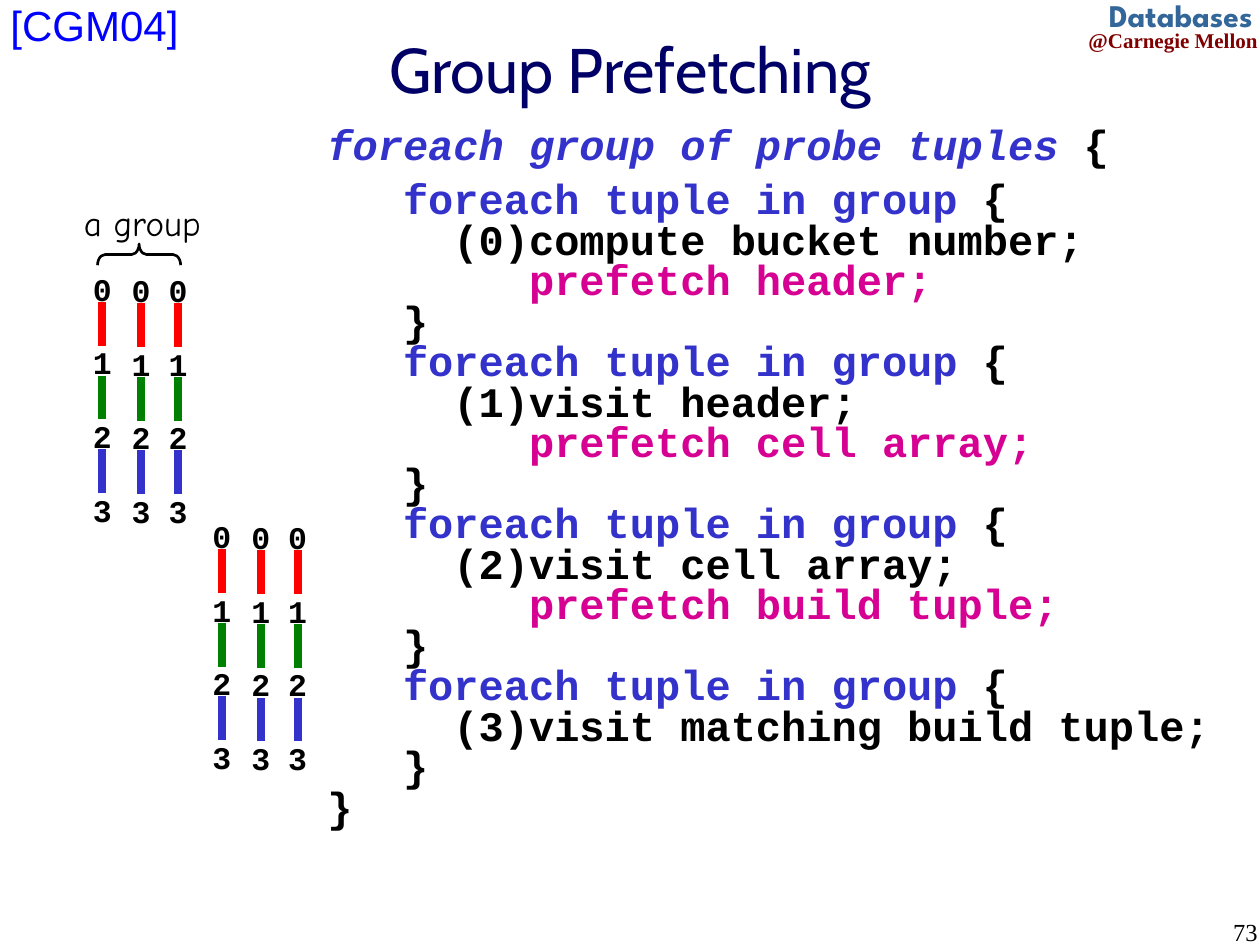
"""Build the Group Prefetching slide with its pseudocode and tuple timelines."""
from lxml import etree
from pptx import Presentation
from pptx import util as u
from pptx.dml.color import RGBColor
from pptx.enum import shapes, text
from pptx.oxml.ns import qn

COLORS = {
    "black": "000000", "navy": "000066", "maroon": "800000", "steel": "336699",
    "link": "0000FF", "keyword": "3333CC", "prefetch": "D60093",
    "red": "FF0000", "green": "008000",
}
ALIGN = text.PP_ALIGN


def write(paragraph, content, font="Courier New", size=24, color="black", bold=False, italic=False):
    run = paragraph.add_run()
    run.text = content
    run.font.name = font
    run.font.size = u.Pt(size)
    run.font.bold = bold
    run.font.italic = italic
    run.font.color.rgb = RGBColor.from_string(COLORS[color])


def add_box(left, top, width, height, insets=(7.2, 3.6), align=ALIGN.LEFT):
    box = slide.shapes.add_textbox(u.Pt(left), u.Pt(top), u.Pt(width), u.Pt(height))
    frame = box.text_frame
    frame.word_wrap = True
    frame.margin_left = frame.margin_right = u.Pt(insets[0])
    frame.margin_top = frame.margin_bottom = u.Pt(insets[1])
    frame.paragraphs[0].alignment = align
    return frame


presentation = Presentation()
presentation.slide_width = u.Pt(720)
presentation.slide_height = u.Pt(540)
slide = presentation.slides.add_slide(presentation.slide_layouts[5])

title = slide.shapes.title
title.left, title.top, title.width, title.height = u.Pt(6.2), u.Pt(12.2), u.Pt(707.8), u.Pt(54)
title.text_frame.vertical_anchor = text.MSO_ANCHOR.MIDDLE
title.text_frame.auto_size = text.MSO_AUTO_SIZE.NONE
title.text_frame.paragraphs[0].alignment = ALIGN.CENTER
write(title.text_frame.paragraphs[0], "Group Prefetching", font="Cabin", size=36, color="navy")

course = add_box(612, 12.2, 113.8, 21.6, align=ALIGN.RIGHT)
write(course.paragraphs[0], "@Carnegie Mellon", font="Times New Roman", size=12, color="maroon", bold=True)
subject = add_box(614.9, -5.8, 108, 28.8, align=ALIGN.RIGHT)
write(subject.paragraphs[0], "Databases", font="League Spartan", size=18, color="steel", bold=True)
citation = add_box(6, 0, 100, 28.8, insets=(0, 0))
write(citation.paragraphs[0], "[CGM04]", font="Arial", color="link")
page = add_box(558, 520.6, 167.8, 37.4, align=ALIGN.RIGHT)
write(page.paragraphs[0], "73", font="Times New Roman", size=14)

STAGE_COLORS = ["red", "green", "keyword"]
STAGE_PITCH = 42.1
for group_left, group_top in [(58.4, 172.6), (126.8, 313.8)]:
    for offset_x, offset_y in [(0, 0), (22.2, 0.6), (43.3, 0.6)]:
        x = group_left + offset_x
        for stage in range(4):
            y = group_top + offset_y + stage * STAGE_PITCH
            if stage < len(STAGE_COLORS):
                line = slide.shapes.add_connector(
                    shapes.MSO_CONNECTOR.STRAIGHT, u.Pt(x), u.Pt(y), u.Pt(x), u.Pt(y + 25))
                line.line.width = u.Pt(4.5)
                line.line.color.rgb = RGBColor.from_string(COLORS[STAGE_COLORS[stage]])
                etree.SubElement(line._element.spPr, qn("a:effectLst"))
            label = add_box(x - 9.4, y - 18.4, 18.8, 21.6, insets=(0, 0), align=ALIGN.CENTER)
            write(label.paragraphs[0], str(stage), size=18, bold=True)

brace = slide.shapes.add_shape(
    shapes.MSO_SHAPE.RIGHT_BRACE, u.Pt(73.4), u.Pt(121.7), u.Pt(12.2), u.Pt(47.5))
brace.rotation = 270
brace.adjustments[0] = 0.35
brace.shadow.inherit = False
brace.fill.background()
brace.line.width = u.Pt(1.5)
brace.line.color.rgb = RGBColor.from_string(COLORS["black"])

caption = add_box(36, 111.6, 90.7, 31.7, align=ALIGN.CENTER)
write(caption.paragraphs[0], "a group", font="Comic Neue", size=20)

STEPS = [
    ("(0)compute bucket number;", "prefetch header;"),
    ("(1)visit header;", "prefetch cell array;"),
    ("(2)visit cell array;", "prefetch build tuple;"),
    ("(3)visit matching build tuple;", None),
]
code_lines = [[("foreach group of probe tuples ", "keyword"), ("{", "black")]]
for action, prefetch in STEPS:
    code_lines.append([("   foreach tuple in group", "keyword"), (" {", "black")])
    code_lines.append([("     " + action, "black")])
    if prefetch:
        code_lines.append([("        " + prefetch, "prefetch")])
    code_lines.append([("   }", "black")])
code_lines.append([("}", "black")])

code = add_box(180, 72, 522, 436.3)
for index, runs in enumerate(code_lines):
    paragraph = code.add_paragraph() if index else code.paragraphs[0]
    paragraph.line_spacing = 0.7
    if index:
        paragraph.space_before = u.Pt(10.8 if index == 1 else 3)
    for content, color in runs:
        write(paragraph, content, color=color, bold=True, italic=index == 0 and color == "keyword")

presentation.save("out.pptx")
